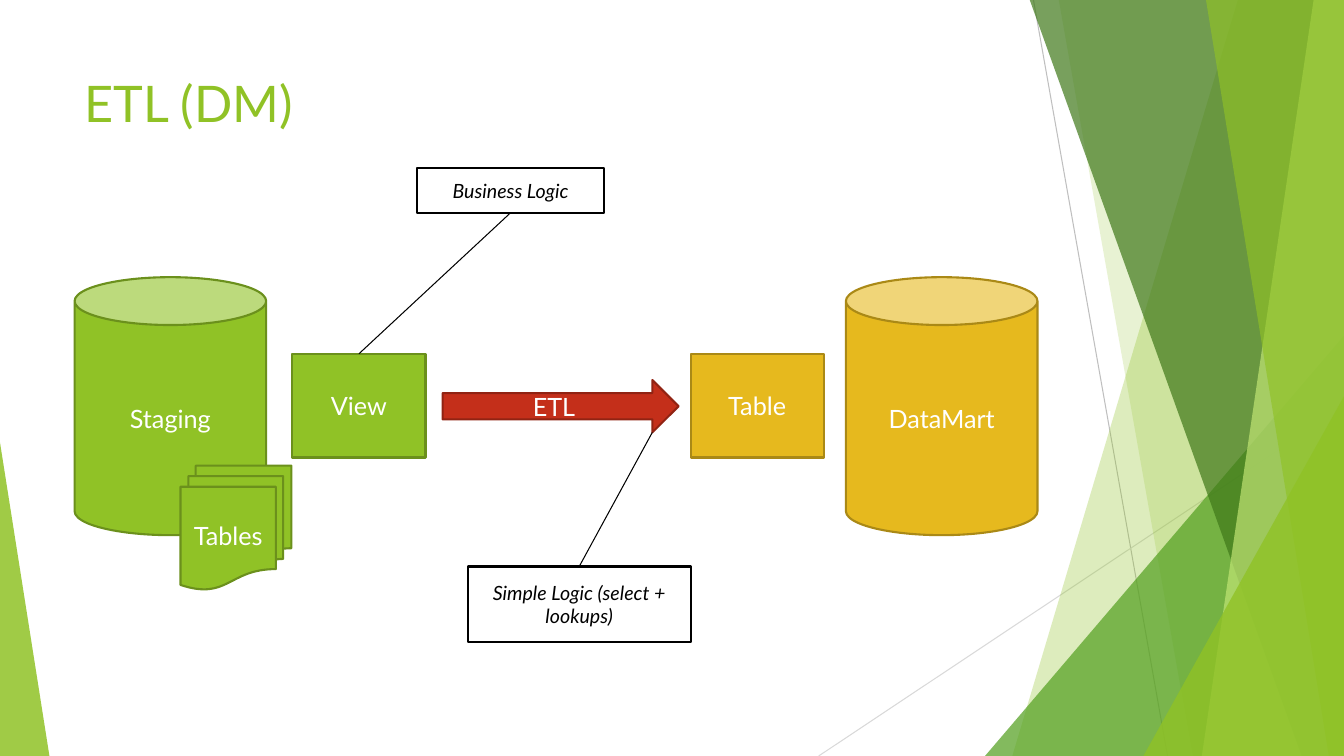
from pptx import Presentation
from pptx import util as u
from pptx.dml.color import RGBColor
from pptx.enum import shapes, text
from pptx.oxml.ns import qn
from lxml import etree

PX = 9144
W, H = 1333, 750
FONT = "Lato"
MSO = shapes.MSO_SHAPE
COLORS = {
    "green": "90C226", "green_edge": "6B901C", "gold": "E6B91E", "gold_edge": "AA8916",
    "red": "C42F1A", "red_edge": "912313", "white": "FFFFFF", "black": "000000",
    "leaf": "54A021", "forest": "3F7819", "lime": "C0E474", "grey": "BFBFBF", "pale": "D9D9D9",
}

TITLE = ("ETL (DM)", (74, 67, 940, 144))
RAYS = [((1025, 0), (1158, H), "grey"), ((W, 403), (812, H), "pale")]
BANDS = [
    (1228, 1004, "green", 30),
    (1050, 1183, "green", 20),
    ((977, 333, 356, 417), 1, "leaf", 72),
    (1021, 1291, "forest", 70),
    (1303, 1192, "lime", 70),
    (1196, 1318, "green", 65),
    ((1134, 393, 199, 357), 1, "green", 80),
    ((0, 439, 49, 311), 0, "green", 85),
]
STEPS = [
    ("Staging", MSO.CAN, (74, 275, 190, 256), "green"),
    ("Tables", MSO.FLOWCHART_MULTIDOCUMENT, (179, 462, 110, 123), "green"),
    ("View", MSO.RECTANGLE, (290, 351, 132, 103), "green"),
    ("Table", MSO.RECTANGLE, (685, 351, 132, 103), "gold"),
    ("DataMart", MSO.CAN, (839, 275, 190, 256), "gold"),
    ("ETL", MSO.RIGHT_ARROW, (439, 377, 234, 52), "red"),
]
NOTES = [
    ("Business Logic", (414, 167, 185, 44), (507, 211), (356, 351), ("View", 2, 0)),
    ("Simple Logic (select + lookups)", (464, 562, 221, 75), (574, 562), (647, 429), ("ETL", 0, 2)),
]


def px(values):
    return [v * PX for v in values]


def rgb(name):
    return RGBColor.from_string(COLORS[name])


def write(shape, words, size=18, color="white", italic=False,
          align=text.PP_ALIGN.CENTER, anchor=text.MSO_ANCHOR.MIDDLE):
    tf = shape.text_frame
    tf.word_wrap = True
    tf.vertical_anchor = anchor
    p = tf.paragraphs[0]
    p.alignment = align
    r = p.add_run()
    r.text = words
    r.font.name, r.font.size, r.font.italic = FONT, u.Pt(size), italic
    r.font.color.rgb = rgb(color)


def paint(shape, fill, edge=None, opacity=100):
    shape.shadow.inherit = False
    shape.fill.solid()
    shape.fill.fore_color.rgb = rgb(fill)
    if opacity < 100:
        clr = shape.fill._xPr.find(qn("a:solidFill"))[0]
        etree.SubElement(clr, qn("a:alpha")).set("val", str(opacity * 1000))
    if edge:
        shape.line.color.rgb = rgb(edge)
        shape.line.width = u.Pt(1.5)
    else:
        shape.line.fill.background()


def add_line(s, start, end, color):
    c = s.shapes.add_connector(shapes.MSO_CONNECTOR.STRAIGHT, *px(start + end))
    c.line.color.rgb = rgb(color)
    c.line.width = u.Pt(0.75)
    etree.SubElement(c._element.spPr, qn("a:effectLst"))
    return c


def add_backdrop(s):
    for start, end, color in RAYS:
        add_line(s, start, end, color)
    for place, foot, color, opacity in BANDS:
        if isinstance(place, tuple):
            sp = s.shapes.add_shape(MSO.ISOSCELES_TRIANGLE, *px(place))
            sp.adjustments[0] = foot
        else:
            outline = s.shapes.build_freeform(place, -1, scale=PX)
            outline.add_line_segments([(W, -1), (W, H), (foot, H)], close=True)
            sp = outline.convert_to_shape()
        paint(sp, color, opacity=opacity)


def add_title(s):
    words, box = TITLE
    sp = s.shapes.title
    sp.left, sp.top, sp.width, sp.height = px(box)
    write(sp, words, size=36, color="green",
          align=text.PP_ALIGN.LEFT, anchor=text.MSO_ANCHOR.TOP)


def add_flow(s):
    steps = {}
    for words, kind, box, color in STEPS:
        sp = steps[words] = s.shapes.add_shape(kind, *px(box))
        paint(sp, color, color + "_edge")
        write(sp, words)
    for words, box, start, end, (target, site, target_site) in NOTES:
        sp = s.shapes.add_shape(MSO.RECTANGLE, *px(box))
        paint(sp, "white", "black")
        write(sp, words, size=14, color="black", italic=True)
        c = add_line(s, start, end, "black")
        c.begin_connect(sp, site)
        c.end_connect(steps[target], target_site)
        c.end_x, c.end_y = px(end)


def main():
    prs = Presentation()
    prs.slide_width, prs.slide_height = px((W, H))
    s = prs.slides.add_slide(prs.slide_layouts[5])
    add_backdrop(s)
    add_title(s)
    add_flow(s)
    prs.save("out.pptx")


if __name__ == "__main__":
    main()
